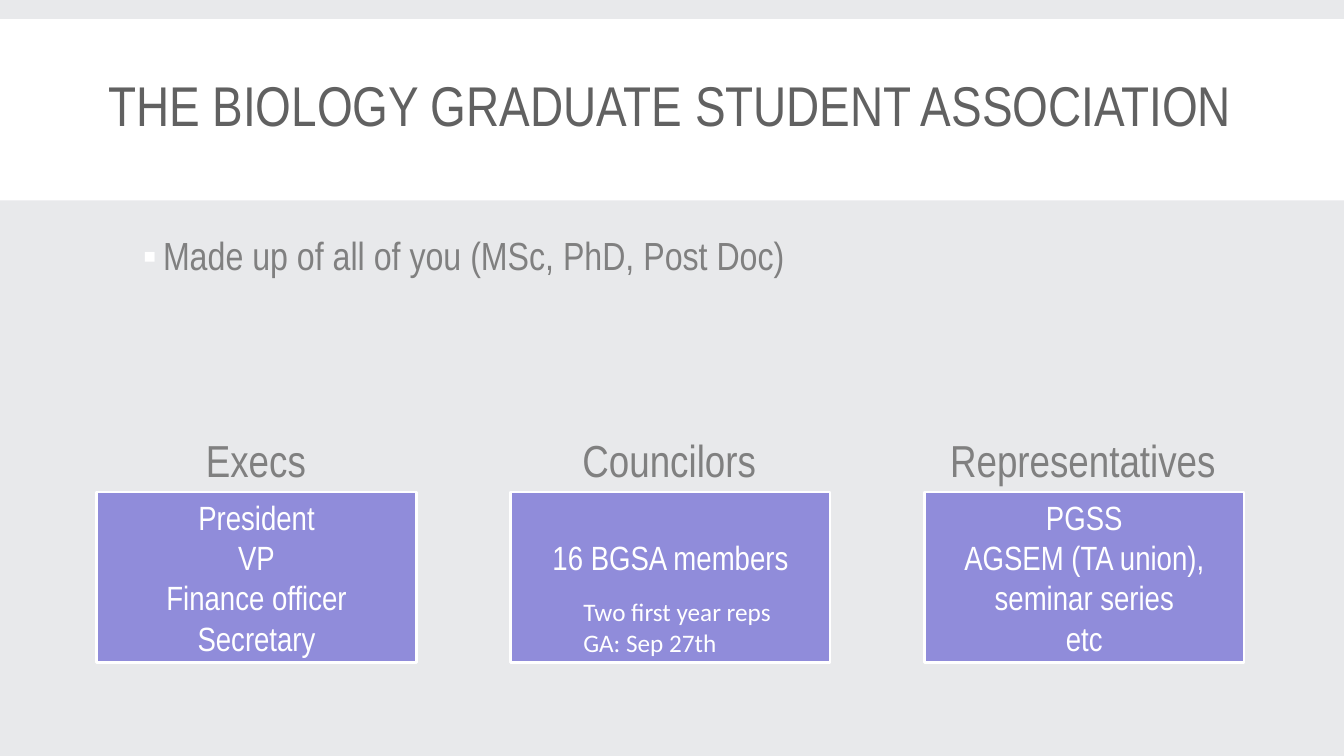
from lxml import etree
from pptx import Presentation
from pptx.dml.color import RGBColor
from pptx.enum import shapes, text
from pptx.util import Cm, Pt

# Content
TITLE = "THE BIOLOGY GRADUATE STUDENT ASSOCIATION"
MEMBERSHIP = "Made up of all of you (MSc, PhD, Post Doc)"
# heading, heading width (cm), members, bottom inset of the box (cm)
GROUPS = [
    ("Execs", 3.05, ["President", "VP", "Finance officer Secretary"], 0.13),
    ("Councilors", 4.93, ["16 BGSA members"], 1.12),
    ("Representatives", 7.26,
     ["PGSS", "AGSEM (TA union), seminar series", "etc"], 0.13),
]
COUNCILOR_NOTES = ["Two first year reps", "GA: Sep 27th"]

COLORS = {
    "background": "E8E9EB",
    "white": "FFFFFF",
    "title": "616161",
    "body": "808080",
    "box": "908CDA",
}
FONT, NOTE_FONT = "Arial Narrow", "Calibri"

# Layout in cm
BOX_LEFT, BOX_TOP, BOX_WIDTH, BOX_HEIGHT = 2.44, 12.4, 8.05, 4.29
BOX_PITCH = 10.43
HEADING_TOP, HEADING_HEIGHT = 10.77, 1.63


def color(name):
    return RGBColor.from_string(COLORS[name])


def write(frame, lines, size, ink, font=FONT, align=text.PP_ALIGN.LEFT):
    frame.text = "\n".join(lines)
    for paragraph in frame.paragraphs:
        paragraph.alignment = align
        for run in paragraph.runs:
            run.font.size = Pt(size)
            run.font.name = font
            run.font.color.rgb = color(ink)


def add_text(slide, place, lines, size, ink, wrap=True, **style):
    frame = slide.shapes.add_textbox(*map(Cm, place)).text_frame
    frame.word_wrap = wrap
    write(frame, lines, size, ink, **style)
    return frame


def add_rectangle(slide, place, fill):
    rectangle = slide.shapes.add_shape(
        shapes.MSO_SHAPE.RECTANGLE, *map(Cm, place))
    rectangle.shadow.inherit = False
    rectangle.fill.solid()
    rectangle.fill.fore_color.rgb = color(fill)
    rectangle.line.fill.background()
    return rectangle


def add_bullet(paragraph, symbol, ink):
    properties = paragraph._p.get_or_add_pPr()
    properties.set("marL", str(Cm(0.51)))
    properties.set("indent", str(-Cm(0.51)))
    ns = "{http://schemas.openxmlformats.org/drawingml/2006/main}"
    bullet_color = etree.SubElement(properties, ns + "buClr")
    etree.SubElement(bullet_color, ns + "srgbClr", val=COLORS[ink])
    etree.SubElement(properties, ns + "buFont", typeface="Arial")
    etree.SubElement(properties, ns + "buChar", char=symbol)


def main():
    deck = Presentation()
    deck.slide_width, deck.slide_height = Cm(33.87), Cm(19.05)
    slide = deck.slides.add_slide(deck.slide_layouts[6])
    slide.background.fill.solid()
    slide.background.fill.fore_color.rgb = color("background")

    # Title band
    add_rectangle(slide, (0, 0.48, 33.87, 4.57), "white")
    title = add_text(slide, (1.32, 0.66, 31.12, 4.19), [TITLE], 40, "title",
                     align=text.PP_ALIGN.CENTER)
    title.vertical_anchor = text.MSO_ANCHOR.MIDDLE
    title.paragraphs[0].line_spacing = 0.85

    # Membership bullet
    membership = add_text(slide, (3.35, 5.84, 27.18, 3.99),
                          [MEMBERSHIP], 28, "body").paragraphs[0]
    membership.line_spacing = 0.9
    membership.space_before, membership.space_after = Pt(12), Pt(2)
    add_bullet(membership, "▪", "white")

    # Groups with a heading centred over each box
    for column, (heading, width, members, inset) in enumerate(GROUPS):
        left = BOX_LEFT + column * BOX_PITCH
        box = add_rectangle(
            slide, (left, BOX_TOP, BOX_WIDTH, BOX_HEIGHT), "box")
        box.line.color.rgb = color("white")
        box.line.width = Pt(2)
        frame = box.text_frame
        frame.word_wrap = True
        frame.vertical_anchor = text.MSO_ANCHOR.MIDDLE
        frame.margin_bottom = Cm(inset)
        write(frame, members, 24, "white", align=text.PP_ALIGN.CENTER)
        heading_left = left + (BOX_WIDTH - width) / 2
        add_text(slide, (heading_left, HEADING_TOP, width, HEADING_HEIGHT),
                 [heading], 32, "body", wrap=False)

    # Notes inside the councilors box
    add_text(slide, (14.45, 14.91, 5.36, 1.8), COUNCILOR_NOTES, 18, "white",
             wrap=False, font=NOTE_FONT)

    deck.save("out.pptx")


if __name__ == "__main__":
    main()
